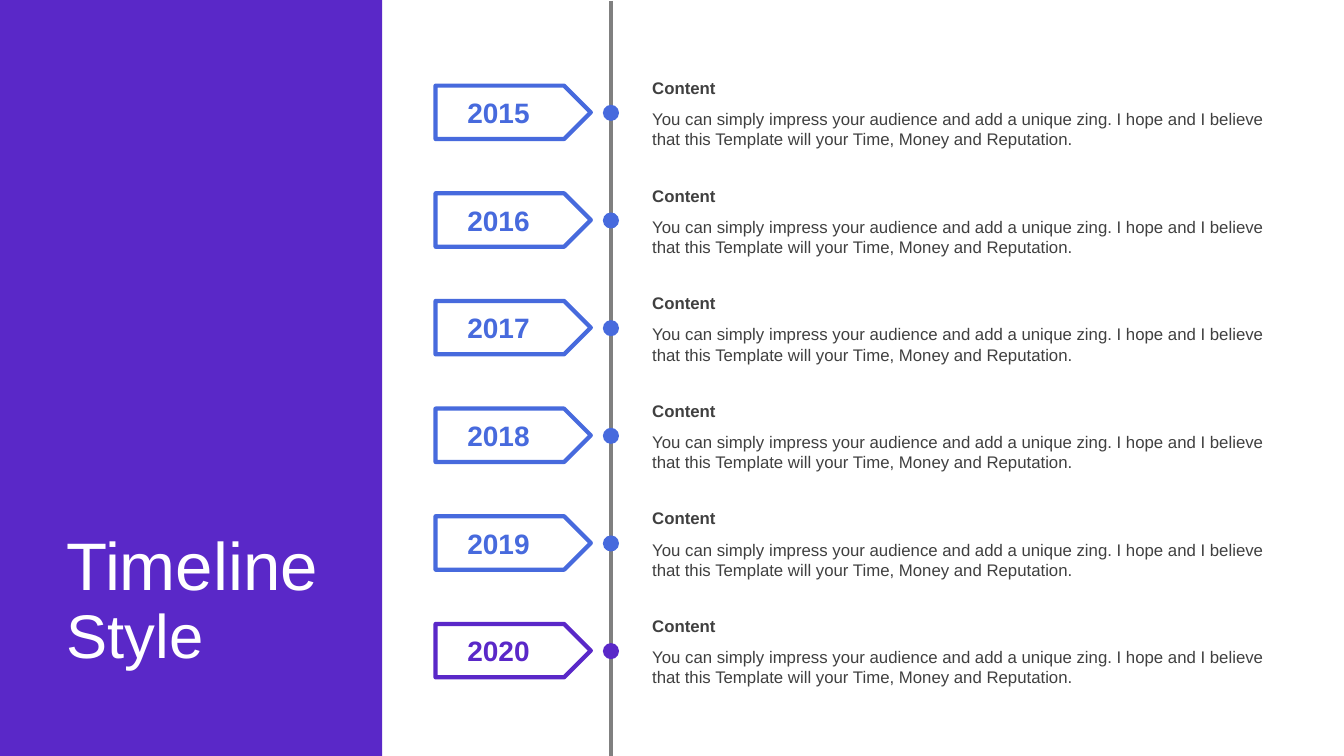
import pptx
import pptx.util
import pptx.dml.color
import pptx.enum.shapes
import pptx.enum.text
import pptx.oxml.ns
import lxml.etree

Shape = pptx.enum.shapes.MSO_SHAPE
Align = pptx.enum.text.PP_ALIGN
Anchor = pptx.enum.text.MSO_ANCHOR
Fit = pptx.enum.text.MSO_AUTO_SIZE

SCALE = 9144  # EMU per px, 100 px to the inch
BLUE, PURPLE, GREY, DARK, WHITE = "476ADD", "5A28C8", "808080", "404040", "FFFFFF"
YEARS = [2015, 2016, 2017, 2018, 2019, 2020]
BODY = ("You can simply impress your audience and add a unique zing. "
        "I hope and I believe that this Template will your Time, Money and Reputation.")


def px(n):
    return pptx.util.Emu(round(n * SCALE))


def color(code):
    return pptx.dml.color.RGBColor.from_string(code)


class Board:
    font = "Arial"

    def __init__(self, slide):
        self.slide = slide

    def style(self, run, size, tint, bold=False):
        run.font.name = self.font
        run.font.size = pptx.util.Pt(size)
        run.font.color.rgb = color(tint)
        run.font.bold = bold

    def shape(self, kind, x, y, w, h, fill, edge=None):
        item = self.slide.shapes.add_shape(kind, px(x), px(y), px(w), px(h))
        item.shadow.inherit = False
        item.fill.solid()
        item.fill.fore_color.rgb = color(fill)
        if edge:
            item.line.color.rgb = color(edge)
            item.line.width = pptx.util.Pt(3)
        else:
            item.line.fill.background()
        return item

    def line(self, x1, y1, x2, y2, tint):
        kind = pptx.enum.shapes.MSO_CONNECTOR.STRAIGHT
        item = self.slide.shapes.add_connector(kind, px(x1), px(y1), px(x2), px(y2))
        item.line.color.rgb = color(tint)
        item.line.width = pptx.util.Pt(3)
        props = item.element.spPr
        lxml.etree.SubElement(props, pptx.oxml.ns.qn("a:effectLst"))

    def text(self, x, y, w, h, words, size, tint, bold=False,
             align=Align.LEFT, anchor=Anchor.TOP):
        frame = self.slide.shapes.add_textbox(px(x), px(y), px(w), px(h)).text_frame
        frame.word_wrap = True
        frame.auto_size = Fit.SHAPE_TO_FIT_TEXT
        frame.vertical_anchor = anchor
        frame.text = words
        para = frame.paragraphs[0]
        para.alignment = align
        self.style(para.runs[0], size, tint, bold)

    def title(self, x, y, w, h, parts, tint, below):
        item = self.slide.shapes.title
        item.left, item.top, item.width, item.height = px(x), px(y), px(w), px(h)
        below.element.addnext(item.element)  # lift above the panel
        frame = item.text_frame
        frame.word_wrap = True
        frame.auto_size = Fit.NONE
        frame.vertical_anchor = Anchor.MIDDLE
        para = frame.paragraphs[0]
        para.alignment = Align.LEFT
        para.line_spacing = 0.9
        for words, size in parts:
            run = para.add_run()
            run.text = words
            self.style(run, size, tint)


def main():
    deck = pptx.Presentation()
    deck.slide_width, deck.slide_height = px(1333), px(750)
    board = Board(deck.slides.add_slide(deck.slide_layouts[5]))

    # Side panel with the title
    panel = board.shape(Shape.RECTANGLE, 0, 0, 379, 750, PURPLE)
    board.title(56, 499, 335, 196, [("Timeline", 48), (" Style", 44)], WHITE, panel)

    # Time rail
    board.line(606, 1, 606, 750, GREY)

    # One row per year, the last one in purple
    first, last = 85, 619
    step = (last - first) / (len(YEARS) - 1)
    for i, year in enumerate(YEARS):
        top = first + i * step
        tint = PURPLE if year == YEARS[-1] else BLUE
        board.shape(Shape.OVAL, 598, top + 19, 16, 16, tint)
        board.shape(Shape.PENTAGON, 432, top, 154, 53, WHITE, tint)
        board.text(448, top + 5, 93, 44, str(year), 20, tint, True, Align.CENTER)
        board.text(637, top - 13, 632, 30, "Content", 12, DARK, True,
                   anchor=Anchor.MIDDLE)
        board.text(637, top + 18, 632, 50, BODY, 12, DARK)

    deck.save("out.pptx")


if __name__ == "__main__":
    main()
